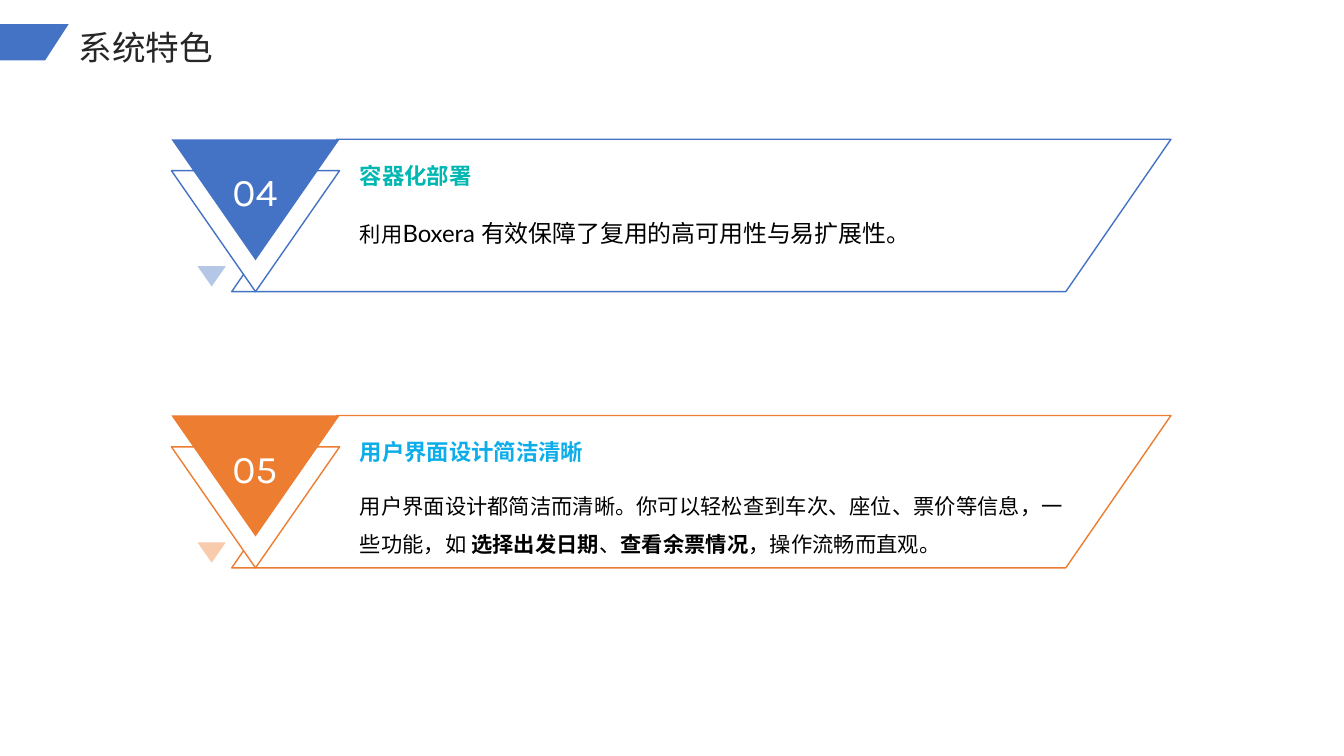
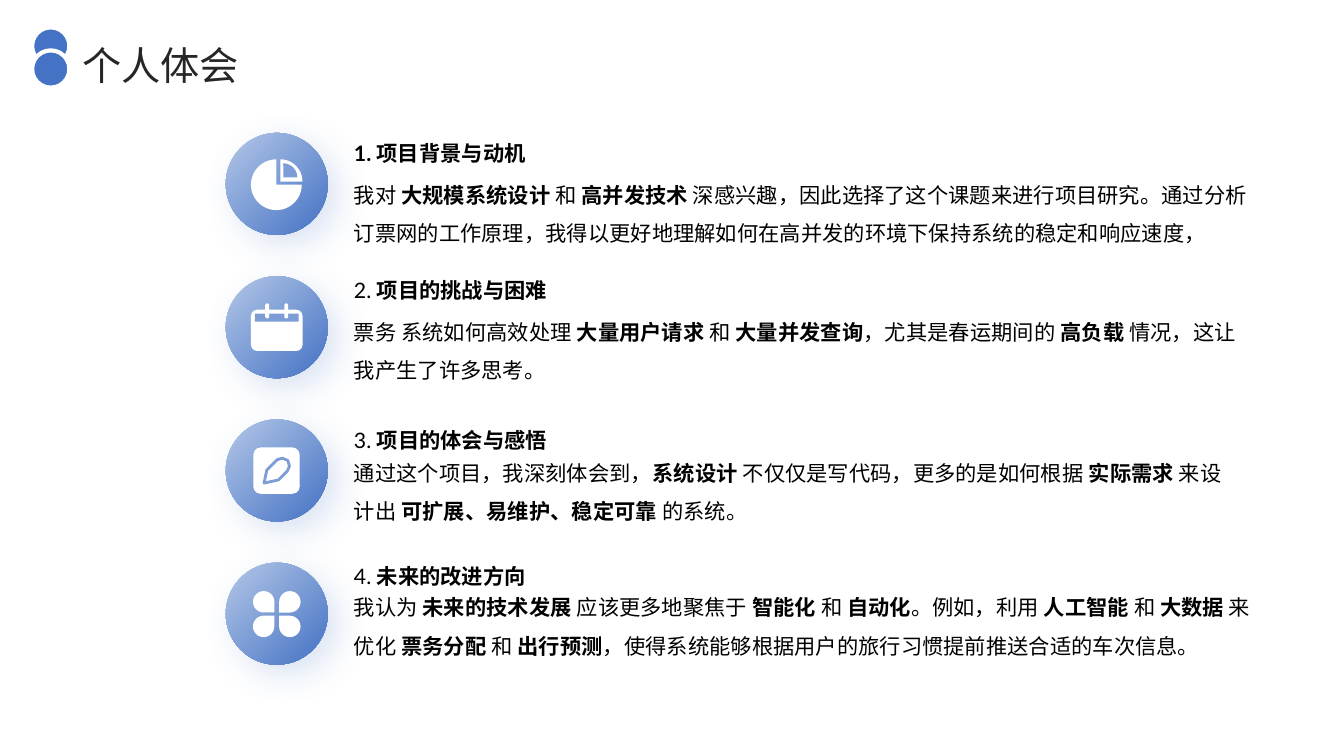
"""Build two slides: system features and personal reflections."""
from lxml import etree
from pptx import Presentation
from pptx.dml.color import RGBColor
from pptx.enum.shapes import MSO_SHAPE
from pptx.enum.text import MSO_ANCHOR, PP_ALIGN
from pptx.oxml.ns import qn
from pptx.util import Cm, Pt

ELLIPSE, PIE, TEAR = MSO_SHAPE.OVAL, MSO_SHAPE.PIE, MSO_SHAPE.TEAR
RECTANGLE, ROUNDED = MSO_SHAPE.RECTANGLE, MSO_SHAPE.ROUNDED_RECTANGLE
PARALLELOGRAM, DOWN_TRIANGLE = MSO_SHAPE.PARALLELOGRAM, MSO_SHAPE.FLOWCHART_MERGE
TOP, MIDDLE = MSO_ANCHOR.TOP, MSO_ANCHOR.MIDDLE
LEFT, CENTER = PP_ALIGN.LEFT, PP_ALIGN.CENTER

COLORS = {
    "white": "FFFFFF", "black": "000000", "title": "262626",
    "blue": "4472C4", "light_blue": "B4C7E7", "icon_blue": "7C9DD6",
    "orange": "ED7D31", "light_orange": "F8CBAD",
    "teal": "00B7B2", "sky": "0CADE9",
}
CJK_FONT = "Noto Sans CJK SC"
BODY_SIZE = 15.2


def add_text(page, text, left, top, width, height, size=BODY_SIZE, font="Lato",
             color="black", bold=False, align=LEFT, anchor=TOP, spacing=1.5,
             marked_size=None, marked_bold=True):
    """Add a text box in which pairs of ** enclose marked spans."""
    box = page.shapes.add_textbox(Cm(left), Cm(top), Cm(width), Cm(height))
    frame = box.text_frame
    frame.word_wrap = True
    frame.vertical_anchor = anchor
    frame.margin_left = frame.margin_right = frame.margin_top = frame.margin_bottom = 0
    para = frame.paragraphs[0]
    para.alignment = align
    para.line_spacing = spacing
    for index, part in enumerate(text.split("**")):
        if not part:
            continue
        marked = index % 2 == 1
        span = para.add_run()
        span.text = part
        span.font.size = Pt(marked_size if marked and marked_size else size)
        span.font.bold = marked_bold if marked else bold
        span.font.color.rgb = RGBColor.from_string(COLORS[color])
        span.font.name = font
        etree.SubElement(span.font._element, qn("a:ea"), typeface=CJK_FONT)


def add_shape(page, kind, left, top, width, height, fill, line=None, weight=1,
              adjust=(), rotation=0):
    """Add a preset shape, or a closed outline when kind is a list of points."""
    if isinstance(kind, list):
        points = [(Cm(left + x), Cm(top + y)) for x, y in kind]
        builder = page.shapes.build_freeform(*points[0])
        builder.add_line_segments(points[1:], close=True)
        shape = builder.convert_to_shape()
    else:
        shape = page.shapes.add_shape(kind, Cm(left), Cm(top), Cm(width), Cm(height))
        for index, value in enumerate(adjust):
            shape.adjustments[index] = value
        shape.rotation = rotation
    shape.shadow.inherit = False
    shape.fill.solid()
    shape.fill.fore_color.rgb = RGBColor.from_string(COLORS[fill])
    if line:
        shape.line.color.rgb = RGBColor.from_string(COLORS[line])
        shape.line.width = Pt(weight)
    else:
        shape.line.fill.background()
    return shape


deck = Presentation()
deck.slide_width, deck.slide_height = Cm(33.87), Cm(19.05)
blank = deck.slide_layouts[6]

page = deck.slides.add_slide(blank)
FEATURES = [
    ("04", "容器化部署", "利用**Boxera 有效保障了复用的高可用性与易扩展性。**",
     "blue", "light_blue", "teal", {"marked_size": 17.1, "marked_bold": False}),
    ("05", "用户界面设计简洁清晰",
     "用户界面设计都简洁而清晰。你可以轻松查到车次、座位、票价等信息，一些功能，如 "
     "**选择出发日期**、**查看余票情况**，操作流畅而直观。",
     "orange", "light_orange", "sky", {}),
]
for index, (number, heading, body, accent, tint, heading_color, marks) in enumerate(FEATURES):
    top = 3.51 + 6.96 * index
    add_shape(page, PARALLELOGRAM, 5.84, top, 23.67, 3.84, "white", accent, adjust=[0.69])
    add_shape(page, DOWN_TRIANGLE, 4.32, top + 0.79, 4.24, 3.05, "white", accent)
    add_shape(page, DOWN_TRIANGLE, 4.32, top, 4.24, 3.05, accent)
    add_shape(page, DOWN_TRIANGLE, 4.98, top + 3.2, 0.71, 0.51, tint)
    add_text(page, number, 5.46, top + 0.36, 1.93, 1.47, size=28, font="Karla",
             color="white", align=CENTER, spacing=1.3)
    add_text(page, heading, 9.07, top + 0.38, 18, 1.19, size=16, font="Karla",
             color=heading_color, bold=True, spacing=1.3)
    add_text(page, body, 9.07, top + 1.63, 18, 1.8, **marks)

add_shape(page, [(0, 0), (1.73, 0), (1.14, 0.91), (0, 0.91)], 0, 0.61, 1.73, 0.91, "blue")
add_text(page, "系统特色", 1.98, 0.59, 29.24, 1.04, size=24, color="title", spacing=1.1)

page = deck.slides.add_slide(blank)
PENCIL = [(-0.32, 0.32), (-0.25, -0.01), (0.01, -0.27), (0.14, -0.31),
          (0.28, -0.25), (0.32, -0.11), (0.27, 0.01), (0.04, 0.24)]
PIE_ICON = [
    (PIE, -0.65, -0.62, 1.28, 1.28, "white", {}),
    (PIE, -0.47, -0.62, 1.12, 1.12, "white", {"adjust": [162, 0]}),
    (PIE, -0.19, -0.52, 0.71, 0.71, "icon_blue", {"adjust": [162, 0]}),
]
CALENDAR_ICON = [
    (ROUNDED, -0.65, -0.44, 1.3, 1.04, "white", {"adjust": [0.15]}),
    (RECTANGLE, -0.55, -0.34, 1.1, 0.2, "icon_blue", {}),
    (ROUNDED, -0.29, -0.6, 0.1, 0.38, "white", {"adjust": [0.5]}),
    (ROUNDED, 0.19, -0.6, 0.1, 0.38, "white", {"adjust": [0.5]}),
]
PENCIL_ICON = [
    (ROUNDED, -0.59, -0.58, 1.17, 1.17, "white", {"adjust": [0.16]}),
    (PENCIL, 0, 0, 0, 0, "white", {"line": "icon_blue", "weight": 2}),
]
PETAL_ICON = [
    (TEAR, x, y, 0.54, 0.54, "white", {"rotation": rotation})
    for x, y, rotation in [(-0.6, -0.57, 90), (0.06, -0.57, 180),
                           (-0.6, 0.05, 0), (0.06, 0.05, 270)]
]
REFLECTIONS = [
    (PIE_ICON, 3.35, "**1. 项目背景与动机**", 4.27, 22.61,
     "我对 **大规模系统设计** 和 **高并发技术** 深感兴趣，因此选择了这个课题来进行项目研究。"
     "通过分析订票网的工作原理，我得以更好地理解如何在高并发的环境下保持系统的稳定和响应速度，"),
    (CALENDAR_ICON, 6.81, "2. **项目的挑战与困难**", 7.72, 22.61,
     "票务 系统如何高效处理 **大量用户请求** 和 **大量并发查询**，尤其是春运期间的 "
     "**高负载** 情况，这让我产生了许多思考。"),
    (PENCIL_ICON, 10.59, "3. **项目的体会与感悟**", 11.28, 22,
     "通过这个项目，我深刻体会到，**系统设计** 不仅仅是写代码，更多的是如何根据 "
     "**实际需求** 来设计出 **可扩展、易维护、稳定可靠** 的系统。"),
    (PETAL_ICON, 14, "4. **未来的改进方向**", 14.66, 22.81,
     "我认为 **未来的技术发展** 应该更多地聚焦于 **智能化** 和 **自动化**。例如，利用 "
     "**人工智能** 和 **大数据** 来优化 **票务分配** 和 **出行预测**，"
     "使得系统能够根据用户的旅行习惯提前推送合适的车次信息。"),
]
DISC = 2.57
for index, (icon, heading_top, heading, body_top, body_width, body) in enumerate(REFLECTIONS):
    left, top = 5.69, 3.35 + 3.61 * index
    disc = add_shape(page, ELLIPSE, left, top, DISC, DISC, "blue")
    disc.fill.gradient()
    disc.fill.gradient_angle = 315
    for stop, color in zip(disc.fill.gradient_stops, ["light_blue", "blue"]):
        stop.color.rgb = RGBColor.from_string(COLORS[color])
    effects = disc._element.spPr.find(qn("a:effectLst"))
    shadow = etree.SubElement(effects, qn("a:outerShdw"), blurRad=str(Pt(25)),
                              dist=str(Pt(10)), dir="2700000", algn="tl", rotWithShape="0")
    shadow_color = etree.SubElement(shadow, qn("a:srgbClr"), val=COLORS["blue"])
    etree.SubElement(shadow_color, qn("a:alpha"), val="20000")
    for kind, x, y, width, height, fill, options in icon:
        add_shape(page, kind, left + DISC / 2 + x, top + DISC / 2 + y,
                  width, height, fill, **options)
    add_text(page, heading, 8.92, heading_top, 15.95, 0.69, anchor=MIDDLE)
    add_text(page, body, 8.92, body_top, body_width, 2.11)

add_text(page, "个人体会", 2.08, 0.69, 28.83, 1.5, size=28, font=CJK_FONT,
         color="title", spacing=1.3)
for top in (0.69, 1.27):
    add_shape(page, ELLIPSE, 0.81, top, 0.94, 0.94, "blue", "white", 3)

deck.save("out.pptx")
